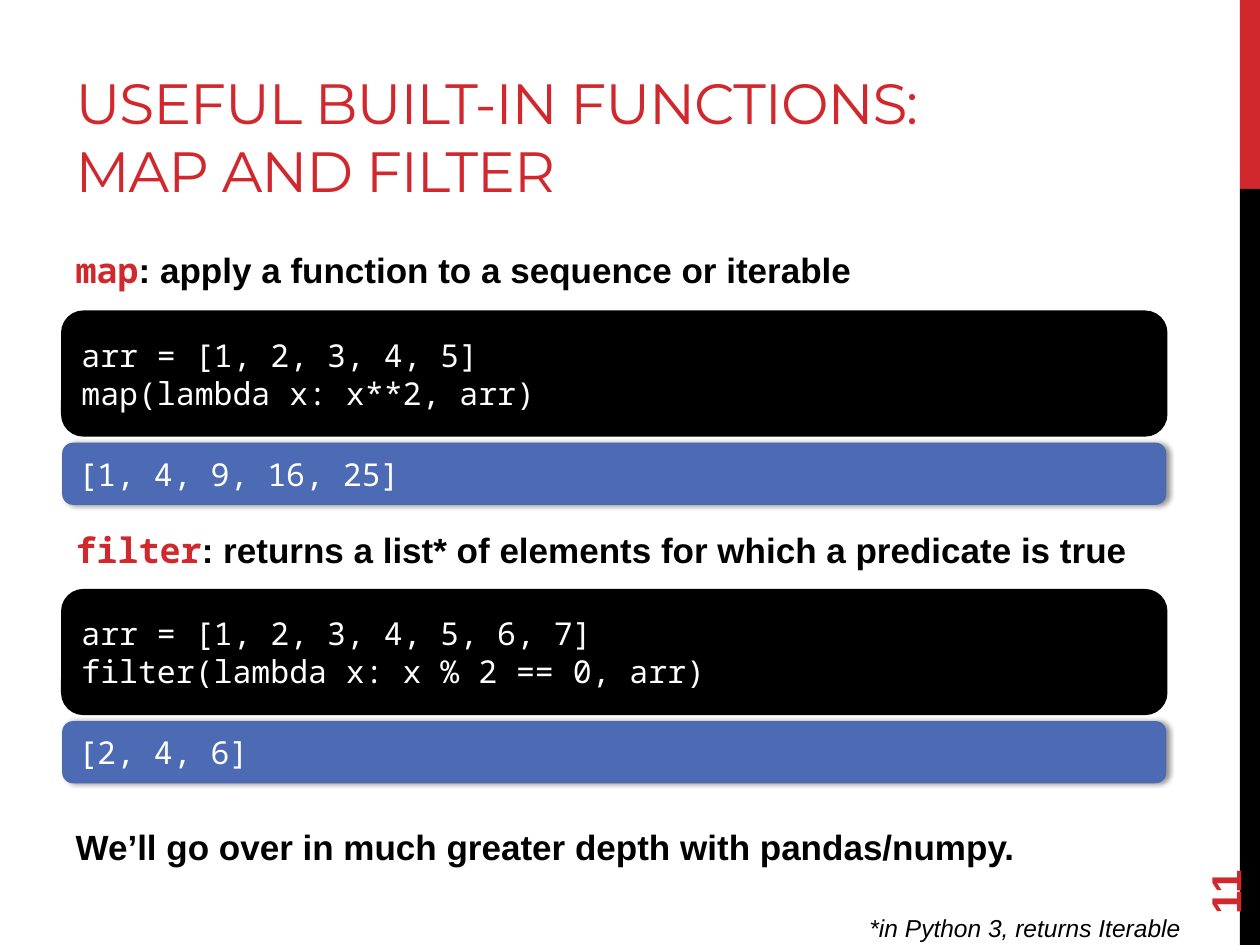
from dataclasses import dataclass
from lxml.etree import SubElement
from pptx import Presentation
from pptx.dml.color import RGBColor
from pptx.enum.shapes import MSO_SHAPE
from pptx.enum.text import MSO_ANCHOR, MSO_AUTO_SIZE, PP_ALIGN
from pptx.oxml.ns import qn
from pptx.util import Inches, Pt


@dataclass(frozen=True)
class Theme:
    red: str = "D1282E"
    black: str = "000000"
    white: str = "FFFFFF"
    blue: str = "4D6BB5"
    blue_line: str = "4E6AAE"
    heading: str = "Montserrat"
    sans: str = "Arial"
    mono: str = "Noto Sans Mono"
    title_size: float = 32.4
    number_size: float = 24
    body_size: float = 20
    code_size: float = 18
    note_size: float = 14


THEME = Theme()
TITLE = "USEFUL BUILT-IN FUNCTIONS: MAP AND FILTER"
BODY = [
    ("map", ": apply a function to a sequence or iterable", 0),
    ("filter", ": returns a list* of elements for which a predicate is true", 130),
    ("", "We’ll go over in much greater depth with pandas/numpy.", 140),
]
EXAMPLES = [
    (["arr = [1, 2, 3, 4, 5]", "map(lambda x: x**2, arr)"], "[1, 4, 9, 16, 25]"),
    (["arr = [1, 2, 3, 4, 5, 6, 7]", "filter(lambda x: x % 2 == 0, arr)"], "[2, 4, 6]"),
]
NOTE = "*in Python 3, returns Iterable"
NUMBER = "11"
SIDEBAR = [(0, 1.5, THEME.red), (1.5, 6, THEME.black)]
LEFT, WIDTH = 0.5, 8.75
FIRST_EXAMPLE, EXAMPLE_STEP = 2.48, 2.21
CODE_HEIGHT, OUTPUT_OFFSET, OUTPUT_HEIGHT = 0.97, 1.04, 0.48


def place(shape, left, top, width, height):
    shape.left, shape.top = Inches(left), Inches(top)
    shape.width, shape.height = Inches(width), Inches(height)


def add_run(paragraph, text, font, size, color, bold=False, italic=False):
    run = paragraph.add_run()
    run.text = text
    run.font.name = font
    run.font.size = Pt(size)
    run.font.bold = bold
    run.font.italic = italic
    run.font.color.rgb = RGBColor.from_string(color)
    return run


def add_box(slide, kind, box, fill, line=None, line_width=0):
    shape = slide.shapes.add_shape(kind, *map(Inches, box))
    shape.shadow.inherit = False
    shape.fill.solid()
    shape.fill.fore_color.rgb = RGBColor.from_string(fill)
    if line:
        shape.line.color.rgb = RGBColor.from_string(line)
        shape.line.width = Pt(line_width)
    else:
        shape.line.fill.background()
    return shape


def add_code(slide, top, height, lines, fill, line, line_width):
    shape = add_box(slide, MSO_SHAPE.ROUNDED_RECTANGLE, (LEFT, top, WIDTH, height), fill, line, line_width)
    frame = shape.text_frame
    frame.word_wrap = True
    frame.vertical_anchor = MSO_ANCHOR.MIDDLE
    for index, text in enumerate(lines):
        paragraph = frame.add_paragraph() if index else frame.paragraphs[0]
        paragraph.alignment = PP_ALIGN.LEFT
        add_run(paragraph, text, THEME.mono, THEME.code_size, THEME.white)
    return shape


def add_shadow(shape):
    effects = shape._element.spPr.find(qn("a:effectLst"))
    shadow = SubElement(effects, qn("a:outerShdw"), blurRad=str(Pt(3.1)), dist=str(Pt(1.8)), dir="0", rotWithShape="0")
    color = SubElement(shadow, qn("a:srgbClr"), val=THEME.black)
    SubElement(color, qn("a:alpha"), val="40000")


def add_title(slide):
    title = slide.shapes.title
    place(title, 0.5, 0.17, 7.55, 1.5)
    frame = title.text_frame
    frame.word_wrap = True
    frame.auto_size = MSO_AUTO_SIZE.NONE
    frame.vertical_anchor = MSO_ANCHOR.BOTTOM
    paragraph = frame.paragraphs[0]
    paragraph.alignment = PP_ALIGN.LEFT
    run = add_run(paragraph, TITLE, THEME.heading, THEME.title_size, THEME.red)
    run.font._element.set("spc", "-60")


def add_body(slide):
    body = slide.placeholders[1]
    place(body, LEFT, 1.92, WIDTH, 5.21)
    frame = body.text_frame
    frame.word_wrap = True
    frame.auto_size = MSO_AUTO_SIZE.NONE
    for index, (keyword, text, space) in enumerate(BODY):
        paragraph = frame.add_paragraph() if index else frame.paragraphs[0]
        properties = paragraph._p.get_or_add_pPr()
        properties.set("marL", "0")
        properties.set("indent", "0")
        SubElement(properties, qn("a:buNone"))
        paragraph.space_before = Pt(space)
        paragraph.space_after = Pt(6)
        if keyword:
            add_run(paragraph, keyword, THEME.mono, THEME.body_size, THEME.red, bold=True)
        add_run(paragraph, text, THEME.sans, THEME.body_size, THEME.black, bold=True)


def add_label(slide, box, alignment, text, size, color, bold=False, italic=False):
    label = slide.shapes.add_textbox(*map(Inches, box))
    frame = label.text_frame
    frame.word_wrap = True
    frame.vertical_anchor = MSO_ANCHOR.MIDDLE
    frame.paragraphs[0].alignment = alignment
    add_run(frame.paragraphs[0], text, THEME.sans, size, color, bold, italic)
    return label


def main():
    presentation = Presentation()
    presentation.slide_width, presentation.slide_height = Inches(10), Inches(7.5)
    slide = presentation.slides.add_slide(presentation.slide_layouts[1])
    for top, height, color in SIDEBAR:
        add_box(slide, MSO_SHAPE.RECTANGLE, (9.84, top, 0.16, height), color)
    add_title(slide)
    add_body(slide)
    number = add_label(slide, (9, 6.44, 1.44, 0.4), PP_ALIGN.LEFT, NUMBER, THEME.number_size, THEME.red, bold=True)
    number.rotation = 270
    for index, (code, output) in enumerate(EXAMPLES):
        top = FIRST_EXAMPLE + index * EXAMPLE_STEP
        add_code(slide, top, CODE_HEIGHT, code, THEME.black, THEME.black, 2.25)
        result = add_code(slide, top + OUTPUT_OFFSET, OUTPUT_HEIGHT, [output], THEME.blue, THEME.blue_line, 1)
        add_shadow(result)
    add_label(slide, (5.77, 7.19, 3.7, 0.34), PP_ALIGN.RIGHT, NOTE, THEME.note_size, THEME.black, italic=True)
    presentation.save("out.pptx")


if __name__ == "__main__":
    main()
